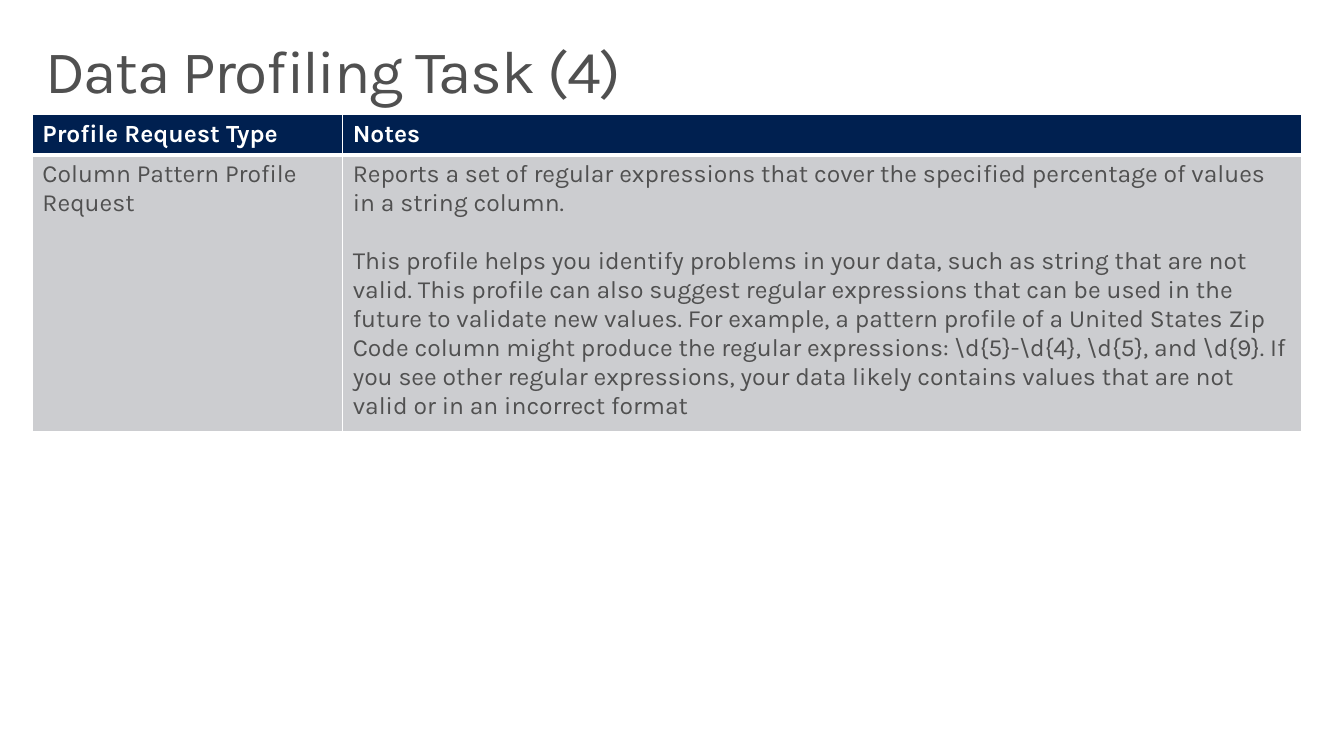
import dataclasses
import typing

import lxml.etree
import pptx
import pptx.dml.color
import pptx.enum.text
import pptx.oxml.ns
import pptx.util

Inches = pptx.util.Inches
Pt = pptx.util.Pt

HUES = {"head": "002050", "body": "CCCDD0", "text": "505050", "line": "FFFFFF"}
TITLE = {"name": "Karla", "size": Pt(44), "bold": False}
HEAD = {"name": "Karla", "size": Pt(18), "bold": True}
BODY = {"name": "Karla", "size": Pt(18), "bold": False}
FRAME = {
    "word_wrap": True,
    "vertical_anchor": pptx.enum.text.MSO_ANCHOR.TOP,
    "margin_left": Inches(0.16),
    "margin_right": Inches(0.16),
    "margin_top": Inches(0.1),
    "margin_bottom": Inches(0.1),
}
WIDTHS = (3.14, 9.7)
GAP = Pt(21.1)  # one line of body text


@dataclasses.dataclass
class Row:
    high: float
    fill: str
    ink: str
    font: dict[str, typing.Any]
    base: float
    cells: tuple[tuple[str, ...], ...]


ROWS = (
    Row(0.41, "head", "line", HEAD, 3, (("Profile Request Type",), ("Notes",))),
    Row(2.74, "body", "text", BODY, 1, (
        ("Column Pattern Profile Request",),
        (
            "Reports a set of regular expressions that cover the specified "
            "percentage of values in a string column.",
            "This profile helps you identify problems in your data, such as "
            "string that are not valid. This profile can also suggest regular "
            "expressions that can be used in the future to validate new values. "
            "For example, a pattern profile of a United States Zip Code column "
            "might produce the regular expressions: \\d{5}-\\d{4}, \\d{5}, and "
            "\\d{9}. If you see other regular expressions, your data likely "
            "contains values that are not valid or in an incorrect format",
        ),
    )),
)


def paint(hue: str) -> pptx.dml.color.RGBColor:
    return pptx.dml.color.RGBColor.from_string(HUES[hue])


def style(item: typing.Any, form: dict[str, typing.Any]) -> None:
    for key, value in form.items():
        setattr(item, key, value)


def write(para: typing.Any, text: str, form: dict[str, typing.Any], ink: str) -> typing.Any:
    run = para.add_run()
    run.text = text
    style(run.font, form)
    run.font.color.rgb = paint(ink)
    return run


def edge(cell: typing.Any, base: float) -> None:
    """Draw the cell borders; base is the bottom width in points."""
    qn = pptx.oxml.ns.qn
    props = cell._tc.get_or_add_tcPr()
    for side, width in (("L", 1), ("R", 1), ("T", 1), ("B", base)):
        line = lxml.etree.SubElement(props, qn(f"a:ln{side}"), w=str(Pt(width)))
        fill = lxml.etree.SubElement(line, qn("a:solidFill"))
        lxml.etree.SubElement(fill, qn("a:srgbClr"), val=HUES["line"])


def head(slide: typing.Any) -> None:
    box = slide.shapes.add_textbox(Inches(0.3), Inches(0.32), Inches(13), Inches(1))
    style(box.text_frame, FRAME)
    para = box.text_frame.paragraphs[0]
    para.line_spacing = 0.9
    run = write(para, "Data Profiling Task (4)", TITLE, "text")
    run.font._element.set("spc", "-100")


def grid(slide: typing.Any) -> None:
    table = slide.shapes.add_table(
        len(ROWS), len(WIDTHS), Inches(0.33), Inches(1.16),
        Inches(sum(WIDTHS)), Inches(sum(row.high for row in ROWS)),
    ).table
    for col, width in zip(table.columns, WIDTHS):
        col.width = Inches(width)
    for i, row in enumerate(ROWS):
        table.rows[i].height = Inches(row.high)
        for j, texts in enumerate(row.cells):
            cell = table.cell(i, j)
            edge(cell, row.base)
            cell.fill.solid()
            cell.fill.fore_color.rgb = paint(row.fill)
            frame = cell.text_frame
            for k, text in enumerate(texts):
                para = frame.add_paragraph() if k else frame.paragraphs[0]
                para.space_before = GAP if k else Pt(0)
                write(para, text, row.font, row.ink)


def main() -> None:
    deck = pptx.Presentation()
    style(deck, {"slide_width": Inches(13.6), "slide_height": Inches(7.65)})
    slide = deck.slides.add_slide(deck.slide_layouts[6])
    head(slide)
    grid(slide)
    deck.save("out.pptx")


if __name__ == "__main__":
    main()
